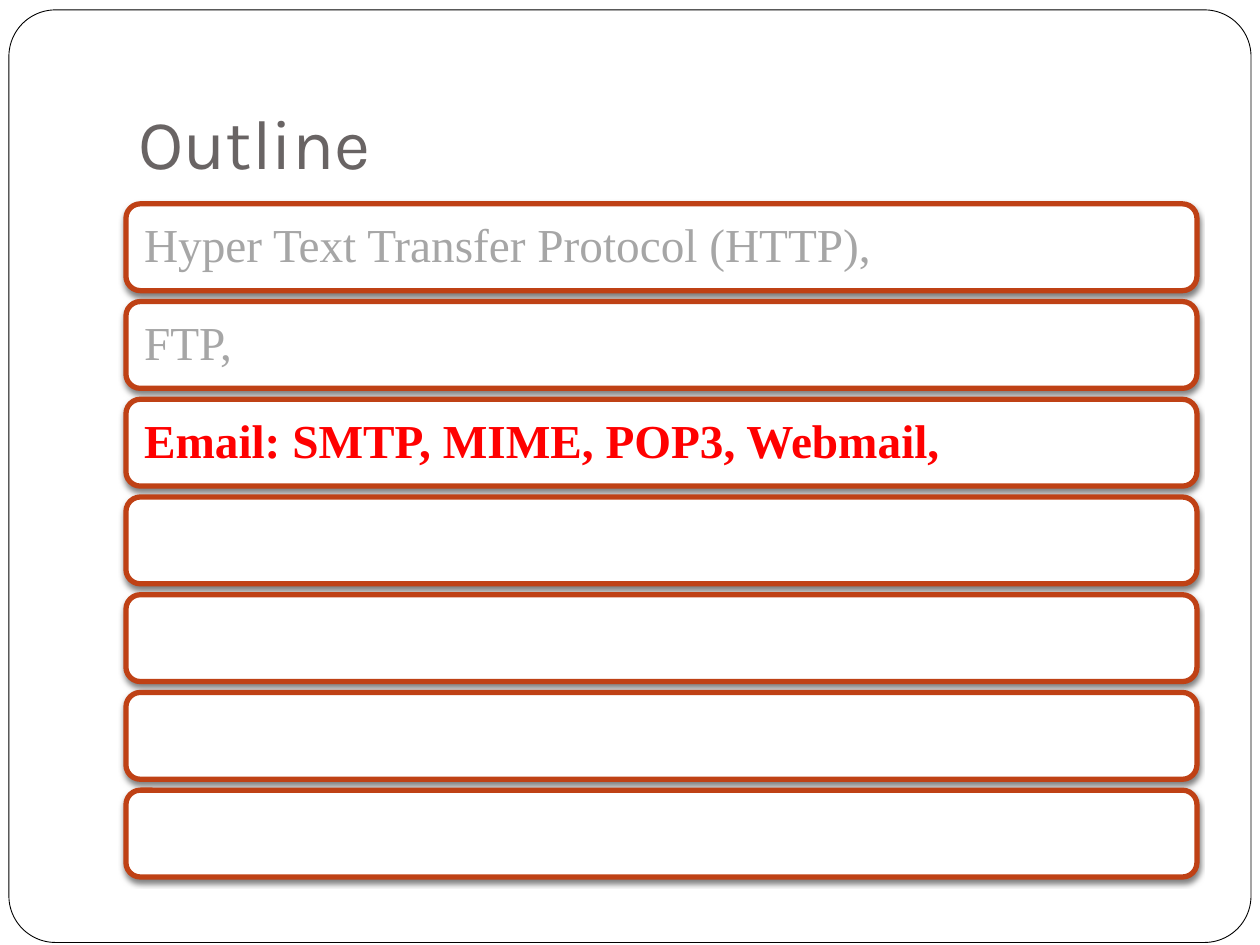
import lxml.etree
import pptx
import pptx.dml.color
import pptx.enum.shapes
import pptx.enum.text
import pptx.oxml
import pptx.oxml.ns
import pptx.util
from pptx.util import Cm

TOPICS = [
    ("Hyper Text Transfer Protocol (HTTP),", "A6A6A6", False),
    ("FTP,", "A6A6A6", False),
    ("Email: SMTP, MIME, POP3, Webmail,", "FF0000", True),
]
CARD_COUNT = 7
CARD_LEFT, CARD_TOP, CARD_WIDTH, CARD_HEIGHT = 2.54, 4.11, 21.59, 1.75
CARD_PITCH = 1.97


def colour(value):
    """Turn a hex string into a colour."""
    return pptx.dml.color.RGBColor.from_string(value)


def apply_format(target, values):
    """Set each attribute named in a dict."""
    for name, value in values.items():
        setattr(target, name, value)


def write_text(box, text, frame_format, para_format, font_format, font_colour):
    """Write one formatted paragraph into a shape."""
    apply_format(box.text_frame, frame_format)
    para = box.text_frame.paragraphs[0]
    apply_format(para, para_format)
    span = para.add_run()
    span.text = text
    apply_format(span.font, font_format)
    span.font.color.rgb = colour(font_colour)


def add_rounded_box(page, left, top, width, height, line_colour, line_width):
    """Add a white rounded box with a coloured outline and no shadow."""
    box = page.shapes.add_shape(
        pptx.enum.shapes.MSO_SHAPE.ROUNDED_RECTANGLE,
        Cm(left), Cm(top), Cm(width), Cm(height))
    box.fill.solid()
    box.fill.fore_color.rgb = colour("FFFFFF")
    box.line.color.rgb = colour(line_colour)
    box.line.width = pptx.util.Pt(line_width)
    box.shadow.inherit = False
    return box


def add_drop_shadow(box):
    """Give a box a soft shadow below it."""
    qn = pptx.oxml.ns.qn
    effects = box.element.spPr.find(qn("a:effectLst"))
    shadow = lxml.etree.SubElement(
        effects, qn("a:outerShdw"), blurRad=str(pptx.util.Pt(3)),
        dist=str(pptx.util.Pt(2)), dir="5400000", rotWithShape="0")
    tint = lxml.etree.SubElement(shadow, qn("a:srgbClr"), val="000000")
    lxml.etree.SubElement(tint, qn("a:alpha"), val="50000")


def add_page_frame(page):
    """Add the thin rounded frame behind everything else."""
    frame = add_rounded_box(page, 0.18, 0.2, 25.04, 18.8, "000000", 0.5)
    frame.adjustments[0] = 0.05
    page.shapes.element.insert(2, frame.element)


def fill_title(page, text):
    """Place and format the slide title."""
    title = page.shapes.title
    apply_format(title, {"left": Cm(2.54), "top": Cm(0.76),
                         "width": Cm(21.59), "height": Cm(3.18)})
    write_text(
        title, text,
        {"vertical_anchor": pptx.enum.text.MSO_ANCHOR.BOTTOM,
         "auto_size": pptx.enum.text.MSO_AUTO_SIZE.NONE,
         "margin_left": Cm(0.25), "margin_right": Cm(0.25),
         "margin_top": Cm(0.13), "margin_bottom": Cm(0.25)},
        {"alignment": pptx.enum.text.PP_ALIGN.LEFT},
        {"name": "Karla", "size": pptx.util.Pt(40)}, "696464")


def add_cards(page):
    """Stack the outline cards and label those that have a topic."""
    sides = ("left", "right", "top", "bottom")
    frame_format = {f"margin_{side}": Cm(0.28) for side in sides}
    frame_format["vertical_anchor"] = pptx.enum.text.MSO_ANCHOR.MIDDLE
    frame_format["word_wrap"] = True
    para_format = {"alignment": pptx.enum.text.PP_ALIGN.LEFT, "line_spacing": 0.9}
    for row in range(CARD_COUNT):
        card = add_rounded_box(page, CARD_LEFT, CARD_TOP + row * CARD_PITCH,
                               CARD_WIDTH, CARD_HEIGHT, "BF4115", 3)
        add_drop_shadow(card)
        if row < len(TOPICS):
            text, text_colour, bold = TOPICS[row]
            font_format = {"name": "Times New Roman",
                           "size": pptx.util.Pt(27), "bold": bold}
            write_text(card, text, frame_format, para_format,
                       font_format, text_colour)


def main():
    """Build the outline slide and save it."""
    deck = pptx.Presentation()
    apply_format(deck, {"slide_width": Cm(25.4), "slide_height": Cm(19.05)})
    page = deck.slides.add_slide(deck.slide_layouts[5])
    add_page_frame(page)
    fill_title(page, "Outline")
    add_cards(page)
    deck.save("out.pptx")


if __name__ == "__main__":
    main()
